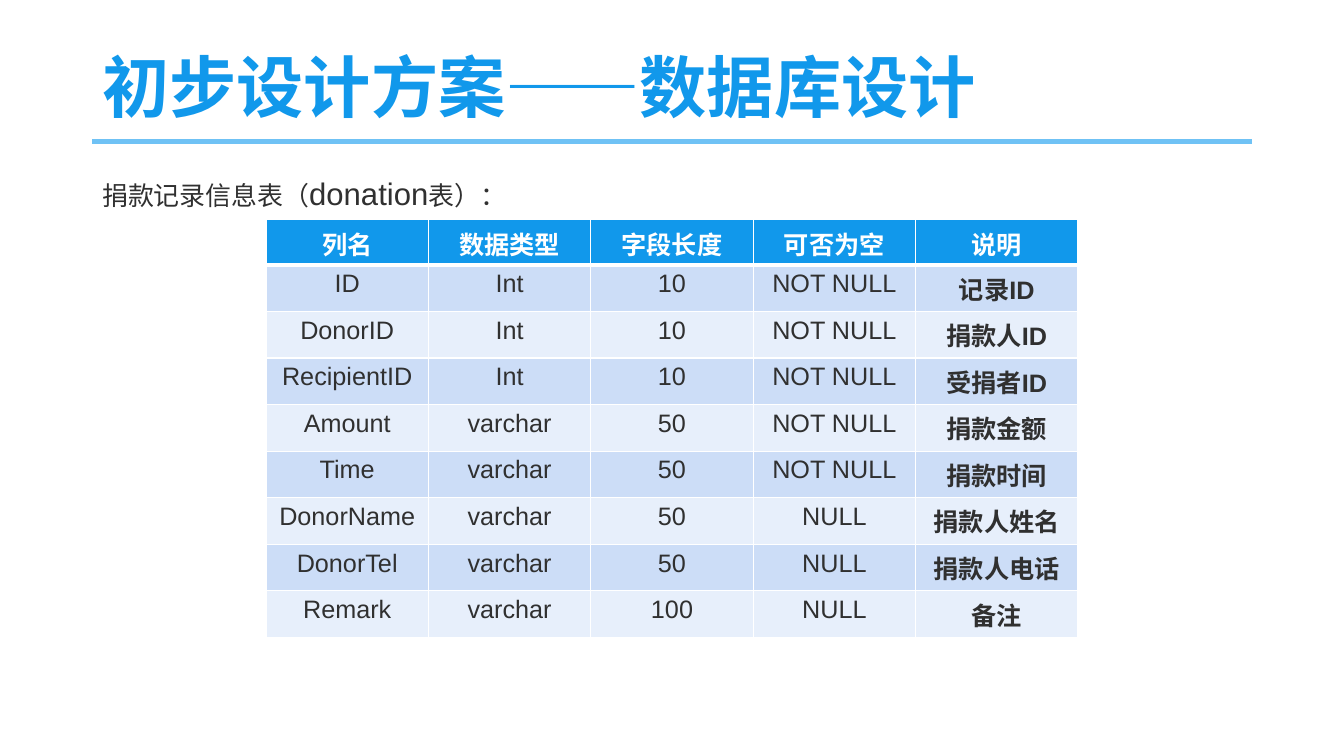
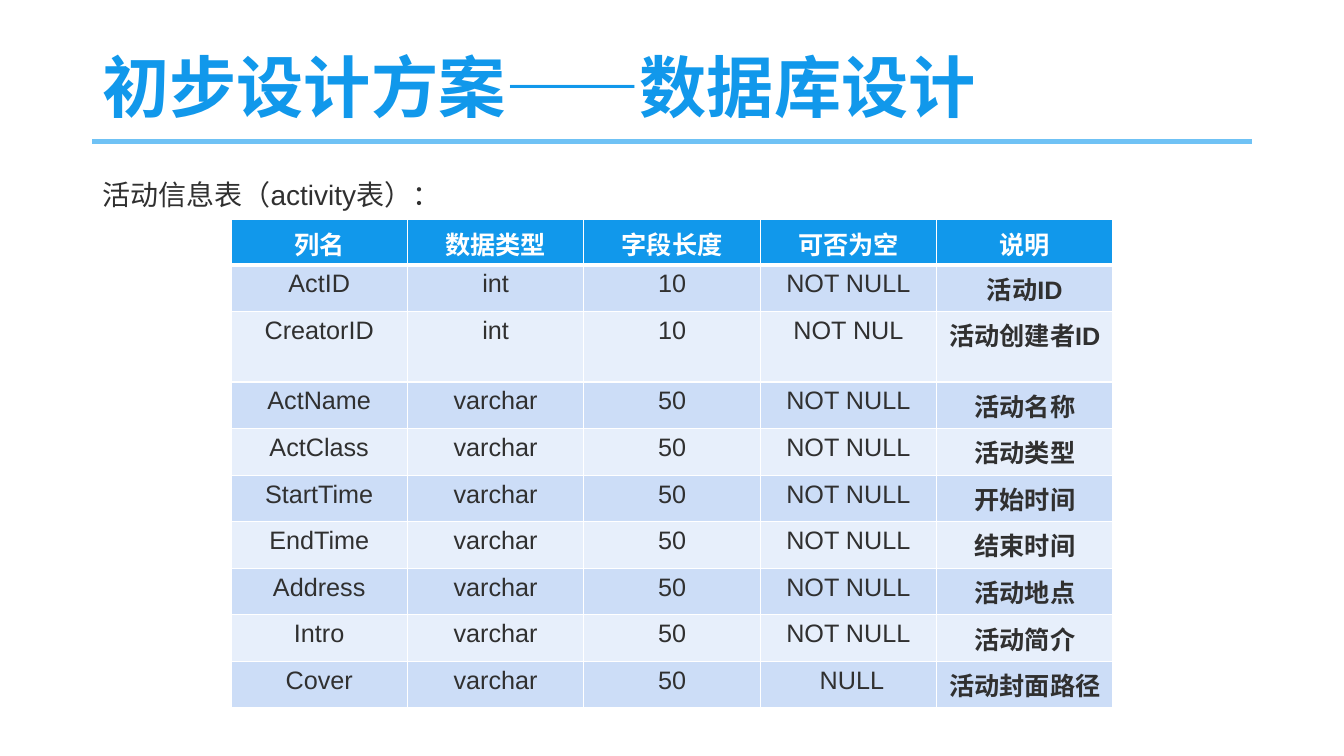
from lxml.etree import SubElement
from pptx import Presentation
from pptx.dml.color import RGBColor
from pptx.enum.lang import MSO_LANGUAGE_ID
from pptx.enum.shapes import MSO_CONNECTOR
from pptx.enum.text import MSO_ANCHOR, PP_ALIGN
from pptx.oxml.ns import qn
from pptx.util import Pt

FONT = "Arial"
BLUE, LIGHT_BLUE, DARK, WHITE = "1198EB", "6FC2F5", "303030", "FFFFFF"
BANDS = ("CCDDF7", "E7EFFB")

SLIDE_WIDTH, SLIDE_HEIGHT = 960, 540
TITLE_BOX = (66, 28.8, 828, 72)
CAPTION_BOX = (66, 116, 662, 41)
TABLE_TOP = 157
HEADER_HEIGHT, ROW_HEIGHT = 32.1, 33.3

TITLE = "初步设计方案——数据库设计"
HEADER = ("列名", "数据类型", "字段长度", "可否为空", "说明")

DONATION_ROWS = (
    ("ID", "Int", "10", "NOT NULL", "记录ID"),
    ("DonorID", "Int", "10", "NOT NULL", "捐款人ID"),
    ("RecipientID", "Int", "10", "NOT NULL", "受捐者ID"),
    ("Amount", "varchar", "50", "NOT NULL", "捐款金额"),
    ("Time", "varchar", "50", "NOT NULL", "捐款时间"),
    ("DonorName", "varchar", "50", "NULL", "捐款人姓名"),
    ("DonorTel", "varchar", "50", "NULL", "捐款人电话"),
    ("Remark", "varchar", "100", "NULL", "备注"),
)
ACTIVITY_ROWS = (
    ("ActID", "int", "10", "NOT NULL", "活动ID"),
    ("CreatorID", "int", "10", "NOT NUL", "活动创建者ID"),
    ("ActName", "varchar", "50", "NOT NULL", "活动名称"),
    ("ActClass", "varchar", "50", "NOT NULL", "活动类型"),
    ("StartTime", "varchar", "50", "NOT NULL", "开始时间"),
    ("EndTime", "varchar", "50", "NOT NULL", "结束时间"),
    ("Address", "varchar", "50", "NOT NULL", "活动地点"),
    ("Intro", "varchar", "50", "NOT NULL", "活动简介"),
    ("Cover", "varchar", "50", " NULL", "活动封面路径"),
)
# Caption runs with their sizes, caption line spacing, column width, table rows
SLIDES = (
    ((("捐款记录信息表（", 18.5), ("donation", 22.2), ("表）：", 18.5)),
     1.2, 116, DONATION_ROWS),
    ((("活动信息表（activity表）：", 20),), 1.3, 126, ACTIVITY_ROWS),
)


def color(hex_string):
    return RGBColor.from_string(hex_string)


def format_run(run, size, hex_string, bold=False):
    font = run.font
    font.name = FONT
    font.size = Pt(size)
    font.bold = bold
    font.color.rgb = color(hex_string)
    font.language_id = MSO_LANGUAGE_ID.SIMPLIFIED_CHINESE


def add_text(slide, box, runs, hex_string, spacing, bold=False, anchor=MSO_ANCHOR.TOP):
    """Place one paragraph made of (text, size) runs in the box."""
    text_frame = slide.shapes.add_textbox(*map(Pt, box)).text_frame
    text_frame.word_wrap = True
    text_frame.vertical_anchor = anchor
    paragraph = text_frame.paragraphs[0]
    paragraph.line_spacing = spacing
    for text, size in runs:
        run = paragraph.add_run()
        run.text = text
        format_run(run, size, hex_string, bold)


def add_title(slide, box):
    """Place the title and the rule along the bottom of its box."""
    left, top, width, height = box
    bottom = top + height
    rule = slide.shapes.add_connector(
        MSO_CONNECTOR.STRAIGHT, Pt(left), Pt(bottom), Pt(left + width), Pt(bottom))
    rule.line.color.rgb = color(LIGHT_BLUE)
    rule.line.width = Pt(3.5)
    SubElement(rule.element.spPr, qn("a:effectLst"))
    add_text(slide, box, ((TITLE, 48),), BLUE, 0.9, True, MSO_ANCHOR.MIDDLE)


def set_borders(cell, bottom_width, top_width):
    """Draw white borders; must run before the cell is filled."""
    properties = cell._tc.get_or_add_tcPr()
    for side, width in (("L", 1), ("R", 1), ("T", top_width), ("B", bottom_width)):
        border = SubElement(properties, qn(f"a:ln{side}"), w=str(Pt(width)))
        fill = SubElement(border, qn("a:solidFill"))
        SubElement(fill, qn("a:srgbClr"), val=WHITE)


def add_field_table(slide, top, column_width, rows):
    """Place a table of database fields, centred across the slide."""
    width = column_width * len(HEADER)
    height = HEADER_HEIGHT + ROW_HEIGHT * len(rows)
    table = slide.shapes.add_table(
        len(rows) + 1, len(HEADER), Pt((SLIDE_WIDTH - width) / 2), Pt(top),
        Pt(width), Pt(height)).table
    for column in table.columns:
        column.width = Pt(column_width)
    for row_index, texts in enumerate((HEADER, *rows)):
        is_header = row_index == 0
        table.rows[row_index].height = Pt(HEADER_HEIGHT if is_header else ROW_HEIGHT)
        for column_index, text in enumerate(texts):
            cell = table.cell(row_index, column_index)
            set_borders(cell, 3 if is_header else 1, 3 if row_index == 1 else 1)
            cell.fill.solid()
            cell.fill.fore_color.rgb = color(
                BLUE if is_header else BANDS[(row_index - 1) % 2])
            cell.text_frame.text = text
            paragraph = cell.text_frame.paragraphs[0]
            paragraph.alignment = PP_ALIGN.CENTER
            is_description = column_index == len(HEADER) - 1
            format_run(paragraph.runs[0], 18, WHITE if is_header else DARK,
                       is_header or is_description)


def add_database_slide(presentation, caption, spacing, column_width, rows):
    slide = presentation.slides.add_slide(presentation.slide_layouts[6])
    add_title(slide, TITLE_BOX)
    add_text(slide, CAPTION_BOX, caption, DARK, spacing)
    add_field_table(slide, TABLE_TOP, column_width, rows)


def main():
    presentation = Presentation()
    presentation.slide_width = Pt(SLIDE_WIDTH)
    presentation.slide_height = Pt(SLIDE_HEIGHT)
    for content in SLIDES:
        add_database_slide(presentation, *content)
    presentation.save("out.pptx")


if __name__ == "__main__":
    main()
